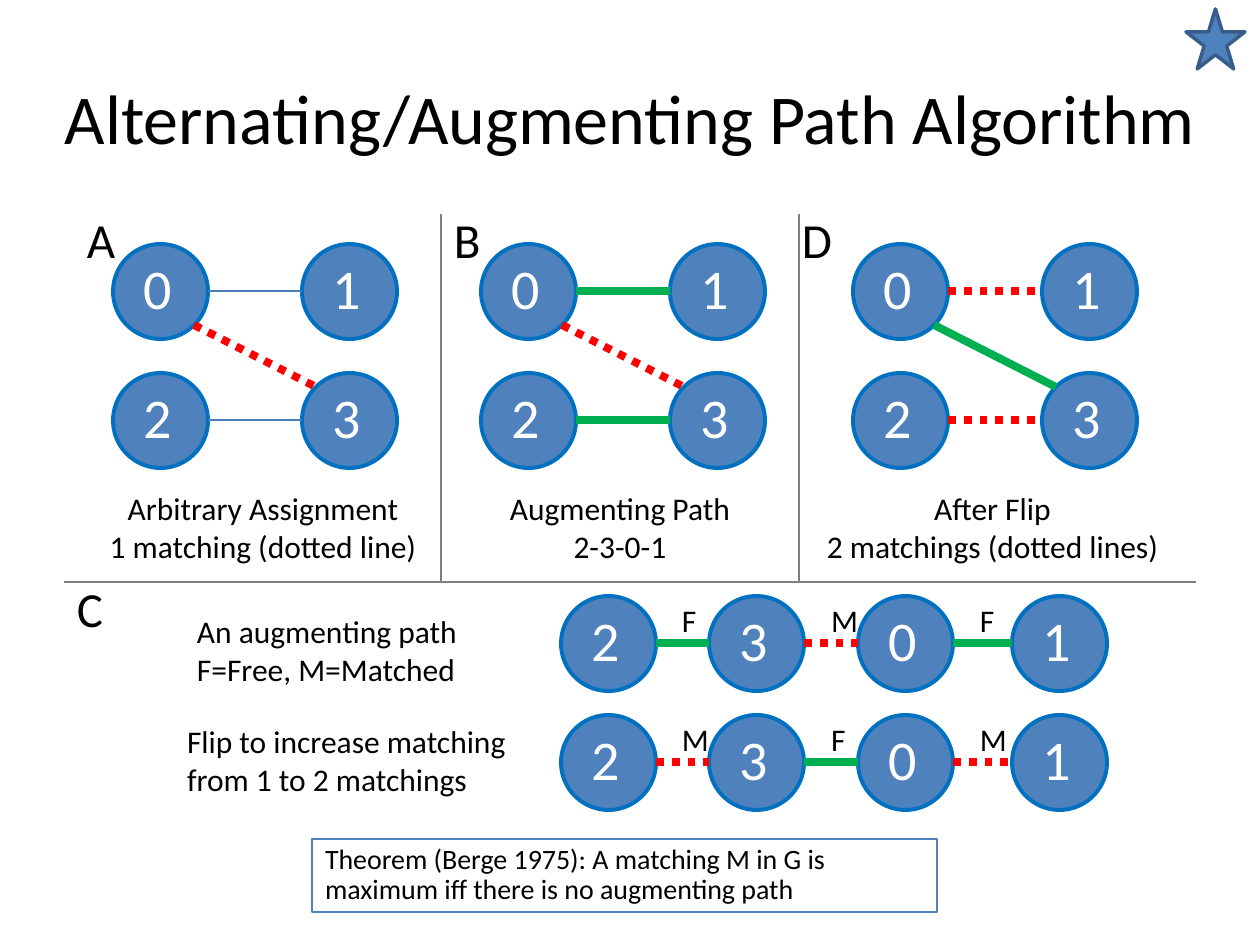
import lxml.etree
import pptx
import pptx.dml.color
import pptx.enum.dml
import pptx.enum.shapes
import pptx.enum.text
import pptx.oxml.ns
import pptx.util

RGB = pptx.dml.color.RGBColor
BLACK = RGB(0x00, 0x00, 0x00)
WHITE = RGB(0xFF, 0xFF, 0xFF)
BLUE = RGB(0x4F, 0x81, 0xBD)
RIM = RGB(0x00, 0x70, 0xC0)
NAVY = RGB(0x38, 0x5D, 0x8A)
THIN = RGB(0x4A, 0x7E, 0xBB)
RED = RGB(0xFF, 0x00, 0x00)
GREEN = RGB(0x00, 0xB0, 0x50)
GRAY = RGB(0x7F, 0x7F, 0x7F)
KIND = pptx.enum.shapes.MSO_SHAPE
LEFT = pptx.enum.text.PP_ALIGN.LEFT
MID = pptx.enum.text.PP_ALIGN.CENTER
TOP = pptx.enum.text.MSO_ANCHOR.TOP
CORE = pptx.enum.text.MSO_ANCHOR.MIDDLE
DOT = pptx.enum.dml.MSO_LINE.ROUND_DOT
SOLID = pptx.enum.dml.MSO_LINE.SOLID
PLAIN = (THIN, 0.74, SOLID)
FREE = (GREEN, 4.5, SOLID)
MATCH = (RED, 4.5, DOT)
RULE = (GRAY, 0.74, SOLID)
SIZE = 95


def px(num):
    return pptx.util.Emu(round(num * 914400 / 126))


def apply(item, **vals):
    for name, val in vals.items():
        setattr(item, name, val)


class Pen:
    face = "Calibri"

    def __init__(self, slide):
        self.slide = slide

    def label(self, frame, text, size, color=BLACK, align=LEFT, anchor=TOP, gap=1.0, pad=(13, 6, 13, 6)):
        left, top, right, low = map(px, pad)
        apply(frame, text=text, word_wrap=True, vertical_anchor=anchor, margin_left=left,
              margin_top=top, margin_right=right, margin_bottom=low)
        for para in frame.paragraphs:
            apply(para, alignment=align, line_spacing=gap)
            for run in para.runs:
                apply(run.font, name=self.face, size=pptx.util.Pt(size))
                run.font.color.rgb = color

    def text(self, box, text, size, **style):
        item = self.slide.shapes.add_textbox(*map(px, box))
        self.label(item.text_frame, text, size, **style)

    def shape(self, kind, box, fill, edge, width):
        item = self.slide.shapes.add_shape(kind, *map(px, box))
        item.shadow.inherit = False
        if fill is None:
            item.fill.background()
        else:
            item.fill.solid()
            item.fill.fore_color.rgb = fill
        item.line.color.rgb = edge
        item.line.width = pptx.util.Pt(width)
        return item

    def node(self, x, y, text):
        item = self.shape(KIND.OVAL, (x, y, SIZE, SIZE), BLUE, RIM, 2.25)
        self.label(item.text_frame, text, 32, color=WHITE, align=MID, anchor=CORE, pad=(0, 0, 5, 8))

    def line(self, x1, y1, x2, y2, style):
        color, width, dash = style
        item = self.slide.shapes.add_connector(
            pptx.enum.shapes.MSO_CONNECTOR.STRAIGHT, *map(px, (x1, y1, x2, y2)))
        item.line.color.rgb = color
        apply(item.line, width=pptx.util.Pt(width), dash_style=dash)
        lxml.etree.SubElement(item.element.spPr, pptx.oxml.ns.qn("a:effectLst"))

    def graph(self, x, flat, slant):
        for row in range(2):
            y = 244 + 129 * row
            for col in range(2):
                self.node(x + 189 * col, y, str(2 * row + col))
            self.line(x + SIZE, y + 47, x + 189, y + 47, flat)
        self.line(x + 81, 325, x + 203, 387, slant)

    def chain(self, y, marks):
        spots = (561, 709, 858, 1012)
        for x, text in zip(spots, "2301"):
            self.node(x, y, text)
        for i, mark in enumerate(marks):
            style = FREE if mark == "F" else MATCH
            self.line(spots[i] + SIZE, y + 47, spots[i + 1], y + 47, style)
            self.text((669 + 149 * i, y - 1, 30, 50), mark, 18, align=MID)


deck = pptx.Presentation()
apply(deck, slide_width=px(1260), slide_height=px(945))
pen = Pen(deck.slides.add_slide(deck.slide_layouts[6]))

pen.text((0, 38, 1260, 157), "Alternating/Augmenting Path Algorithm", 40, align=MID, anchor=CORE)

for x, flat, slant in ((113, PLAIN, MATCH), (481, FREE, MATCH), (853, MATCH, FREE)):
    pen.graph(x, flat, slant)
for y, marks in ((596, "FMF"), (715, "MFM")):
    pen.chain(y, marks)

for x in (441, 799):
    pen.line(x, 214, x, 582, RULE)
pen.line(1196, 582, 64, 582, RULE)

for x, wide, text in (
    (84, 358, "Arbitrary Assignment\n1 matching (dotted line)"),
    (481, 278, "Augmenting Path 2-3-0-1"),
    (799, 387, "After Flip\n2 matchings (dotted lines)"),
):
    pen.text((x, 483, wide, 88), text, 18, align=MID)
pen.text((184, 606, 338, 88), "An augmenting path\nF=Free, M=Matched", 18)
pen.text((174, 716, 407, 88), "Flip to increase matching\vfrom 1 to 2 matchings", 18)

for x, y, text in ((74, 204, "A"), (441, 204, "B"), (789, 204, "D"), (64, 572, "C")):
    pen.text((x, y, 49, 72), text, 28)

pen.shape(KIND.STAR_5_POINT, (1186, 9, 59, 60), BLUE, NAVY, 2)
box = pen.shape(KIND.RECTANGLE, (312, 839, 625, 73), None, BLUE, 0.74)
pen.label(box.text_frame, "Theorem (Berge 1975): A matching M in G is maximum iff there is no augmenting path",
          16, gap=0.9)

deck.save("out.pptx")
